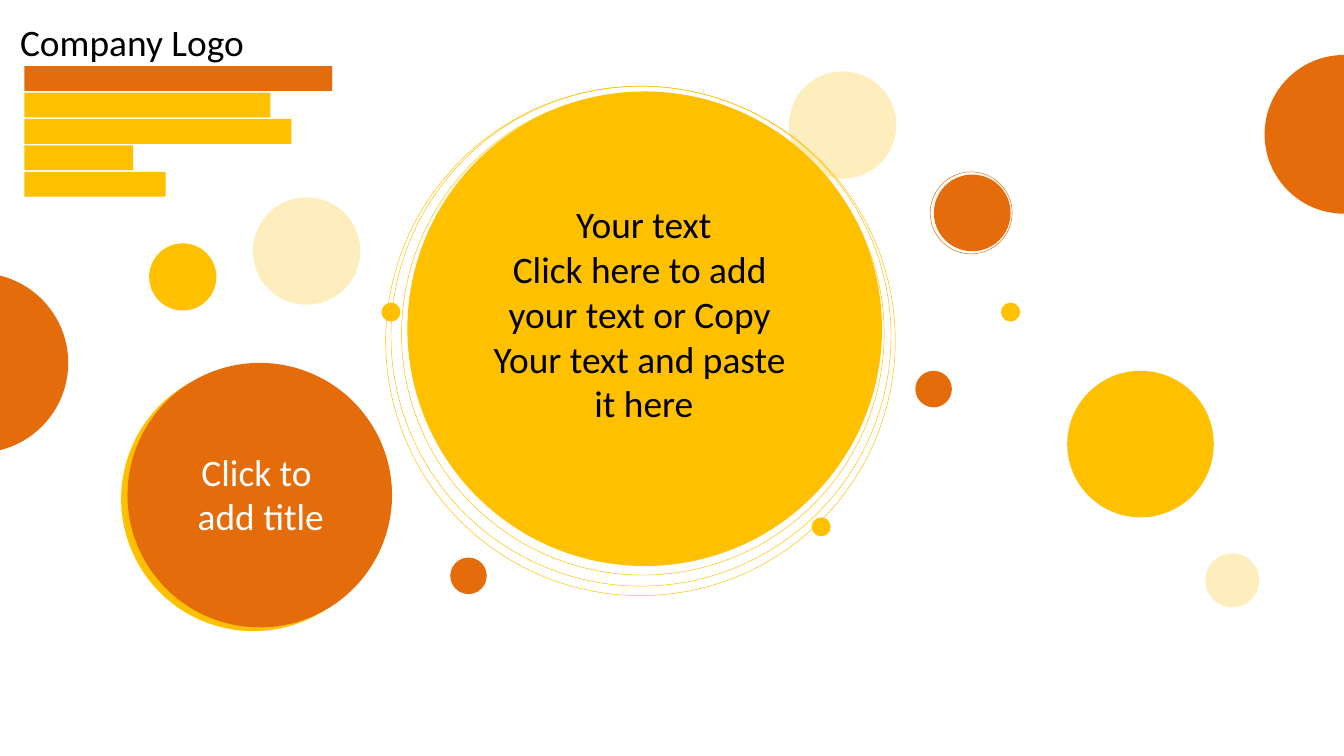
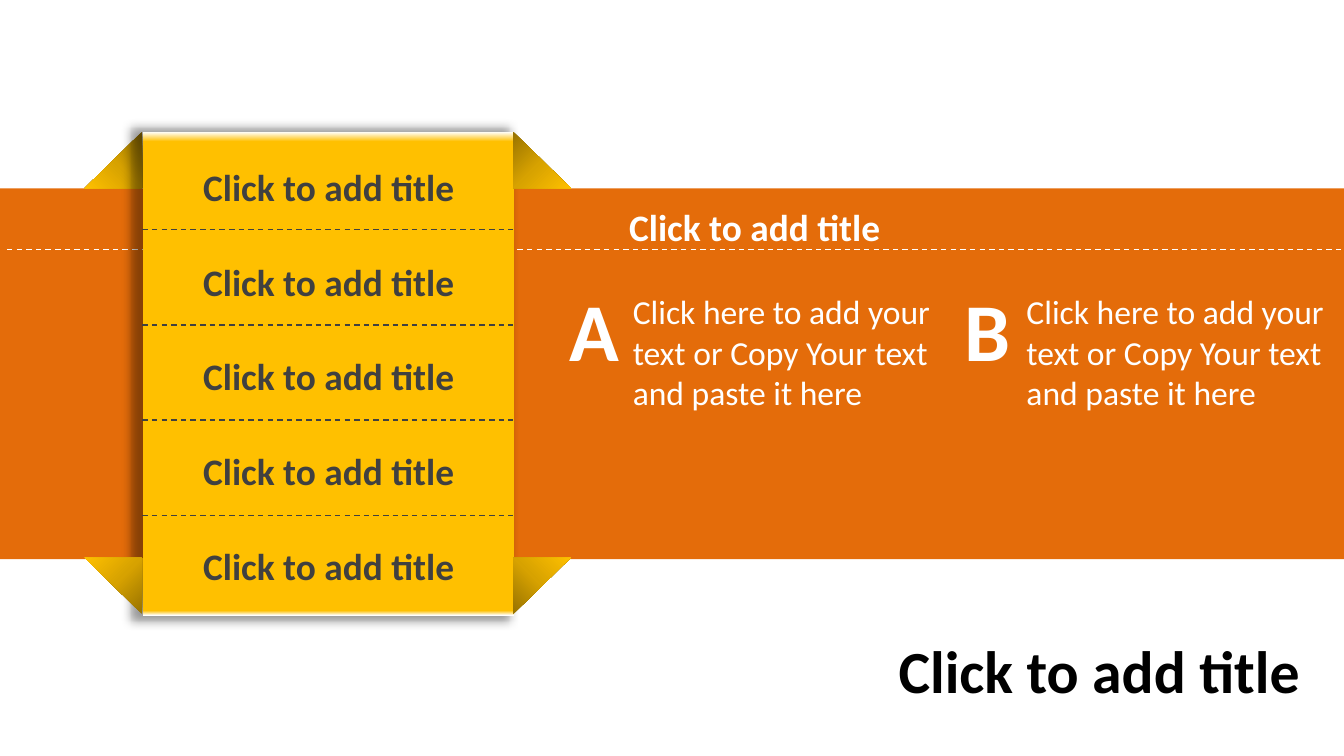
from lxml import etree
from pptx import Presentation
from pptx.dml.color import RGBColor
from pptx.enum.dml import MSO_LINE
from pptx.enum.shapes import MSO_CONNECTOR, MSO_SHAPE
from pptx.enum.text import MSO_AUTO_SIZE, PP_ALIGN
from pptx.oxml.ns import qn
from pptx.util import Cm, Pt

ELLIPSE, RECTANGLE = MSO_SHAPE.OVAL, MSO_SHAPE.RECTANGLE
TRIANGLE = MSO_SHAPE.RIGHT_TRIANGLE
STRAIGHT, DASH = MSO_CONNECTOR.STRAIGHT, MSO_LINE.DASH
LEFT, CENTER = PP_ALIGN.LEFT, PP_ALIGN.CENTER

ORANGE = RGBColor(0xE4, 0x6C, 0x0A)
YELLOW = RGBColor(0xFF, 0xC0, 0x00)
OCHRE = RGBColor(0xD7, 0xA2, 0x00)
BROWN = RGBColor(0x97, 0x72, 0x00)
GRAY = RGBColor(0x40, 0x40, 0x40)
BLACK = RGBColor(0x00, 0x00, 0x00)
WHITE = RGBColor(0xFF, 0xFF, 0xFF)

FONT = "Calibri"
SLIDE_WIDTH, SLIDE_HEIGHT = 25.4, 14.29
TITLE = "Click to add title"


class Deck:
    """Holds the shared style and the slide being built."""

    def __init__(self):
        self.presentation = Presentation()
        self.presentation.slide_width = Cm(SLIDE_WIDTH)
        self.presentation.slide_height = Cm(SLIDE_HEIGHT)
        self.slide = None

    def new_slide(self):
        self.slide = self.presentation.slides.add_slide(
            self.presentation.slide_layouts[6])

    def shape(self, kind, left, top, width, height, fill=None):
        shape = self.slide.shapes.add_shape(
            kind, Cm(left), Cm(top), Cm(width), Cm(height))
        shape.shadow.inherit = False
        shape.line.fill.background()
        if fill is None:
            shape.fill.background()
        else:
            shape.fill.solid()
            shape.fill.fore_color.rgb = fill
        return shape

    def circle(self, left, top, size, fill, opacity=100):
        shape = self.shape(ELLIPSE, left, top, size, size, fill)
        if opacity < 100:
            color = shape.element.spPr.find(qn("a:solidFill"))[0]
            etree.SubElement(color, qn("a:alpha"), val=str(opacity * 1000))

    def ring(self, left, top, size, color):
        shape = self.shape(ELLIPSE, left, top, size, size)
        shape.line.color.rgb = color
        shape.line.width = Pt(0.25)

    def gradient(self, shape, stops, angle):
        shape.fill.gradient()
        shape.fill.gradient_angle = (360 - angle) % 360
        stop_list = shape.element.spPr.find(qn("a:gradFill")).find(qn("a:gsLst"))
        for stop in list(stop_list):
            stop_list.remove(stop)
        for position, color in stops:
            stop = etree.SubElement(
                stop_list, qn("a:gs"), pos=str(position * 1000))
            etree.SubElement(stop, qn("a:srgbClr"), val=str(color))

    def glow_shadow(self, shape):
        effects = shape.element.spPr.find(qn("a:effectLst"))
        shadow = etree.SubElement(
            effects, qn("a:outerShdw"), blurRad=str(Pt(5)), sx="102000",
            sy="102000", algn="ctr", rotWithShape="0")
        color = etree.SubElement(shadow, qn("a:srgbClr"), val=str(BLACK))
        etree.SubElement(color, qn("a:alpha"), val="40000")

    def fold(self, left, top, flips):
        shape = self.shape(TRIANGLE, left, top, 1.09, 1.07)
        self.gradient(shape, [(0, BROWN), (50, OCHRE), (100, YELLOW)], 45)
        for flip in flips:
            shape.element.spPr.xfrm.set("flip" + flip, "1")

    def dashed_line(self, left, right, top, color):
        line = self.slide.shapes.add_connector(
            STRAIGHT, Cm(left), Cm(top), Cm(right), Cm(top))
        line.line.color.rgb = color
        line.line.width = Pt(0.75)
        line.line.dash_style = DASH
        etree.SubElement(line.element.spPr, qn("a:effectLst"))

    def text(self, left, top, width, height, text, size=20, color=BLACK,
             bold=False, align=CENTER, wrap=False):
        box = self.slide.shapes.add_textbox(
            Cm(left), Cm(top), Cm(width), Cm(height))
        frame = box.text_frame
        frame.word_wrap = wrap
        frame.auto_size = MSO_AUTO_SIZE.SHAPE_TO_FIT_TEXT
        frame.text = text
        for paragraph in frame.paragraphs:
            paragraph.alignment = align
            for run in paragraph.runs:
                run.font.name = FONT
                run.font.size = Pt(size)
                run.font.bold = bold
                run.font.color.rgb = color


def build_circles(deck):
    deck.new_slide()
    deck.circle(2.29, 6.93, 5, YELLOW)

    # Bars under the logo text
    for index, width in enumerate([5.82, 4.65, 5.05, 2.06, 2.67]):
        deck.shape(RECTANGLE, 0.46, 1.25 + 0.5 * index, width, 0.47,
                   YELLOW if index else ORANGE)
    deck.text(0.13, 0.23, 4.78, 1.12, "Company Logo", align=LEFT)

    # Filled circles
    for left, top, size, color, opacity in [
        (-2.11, 5.16, 3.4, ORANGE, 100),
        (7.7, 1.73, 8.97, YELLOW, 100),
        (2.41, 6.86, 5, ORANGE, 100),
        (2.82, 4.6, 1.27, YELLOW, 100),
        (4.78, 3.73, 2.03, YELLOW, 26),
        (14.91, 1.35, 2.03, YELLOW, 26),
        (22.78, 10.46, 1.02, YELLOW, 26),
        (20.17, 7.01, 2.77, YELLOW, 100),
        (17.3, 7.01, 0.69, ORANGE, 100),
        (17.65, 3.3, 1.45, ORANGE, 100),
        (23.9, 1.04, 3, ORANGE, 100),
        (8.51, 10.54, 0.69, ORANGE, 100),
        (15.34, 9.78, 0.36, YELLOW, 100),
    ]:
        deck.circle(left, top, size, color, opacity)

    # Thin rings and the dots on top of them
    for left, top, size in [(7.59, 1.75, 9.12), (7.29, 1.63, 9.63),
                            (7.39, 1.63, 9.45)]:
        deck.ring(left, top, size, YELLOW)
    for left in (7.21, 18.92):
        deck.circle(left, 5.72, 0.36, YELLOW)
    deck.ring(17.58, 3.25, 1.55, ORANGE)

    # Texts in the circles
    deck.text(8.92, 3.68, 6.5, 6.25,
              "Your text\nClick here to add \nyour text or Copy \n"
              "Your text and paste \nit here", wrap=True)
    deck.text(3.05, 8.36, 3.76, 1.96, "Click to \nadd title",
              color=WHITE, wrap=True)


def build_ribbon(deck):
    deck.new_slide()
    ribbon_left, ribbon_right = 2.69, 9.7
    fold_left, fold_top, fold_bottom = 1.6, 2.49, 10.54

    # Band across the slide
    deck.shape(RECTANGLE, 0, 3.56, SLIDE_WIDTH, 7.01, ORANGE)
    deck.dashed_line(0.13, SLIDE_WIDTH, 4.72, WHITE)

    # Ribbon with its folds
    deck.fold(fold_left, fold_top, "H")
    ribbon = deck.shape(RECTANGLE, 1.63, 3.56, 9.14, 7.01)
    ribbon.rotation = 90
    deck.gradient(ribbon, [(0, WHITE), (2, YELLOW), (99, YELLOW),
                           (100, WHITE)], 0)
    deck.glow_shadow(ribbon)
    deck.text(16.69, 11.86, 8.18, 1.63, TITLE, size=32, bold=True)
    for index in range(4):
        deck.dashed_line(ribbon_left, ribbon_right, 4.34 + 1.8 * index, GRAY)
    deck.fold(fold_left, fold_bottom, "HV")
    deck.fold(ribbon_right, fold_top, "")
    deck.fold(ribbon_right, fold_bottom, "V")

    # Ribbon labels
    for index in range(5):
        deck.text(3.56, 2.98 + 1.79 * index, 5.31, 1.12, TITLE,
                  color=GRAY, bold=True)

    # Band heading and columns
    deck.text(11.61, 3.73, 5.31, 1.12, TITLE, color=WHITE, bold=True)
    for index, letter in enumerate("AB"):
        shift = 7.44 * index
        deck.text(11.71 + shift, 5.38, 6.35, 2.57,
                  "Click here to add your\ntext or Copy Your text\n"
                  "and paste it here", size=18, color=WHITE, align=LEFT)
        deck.text(10.49 + shift, 5.16, 1.47, 2.13, letter,
                  size=44, color=WHITE, bold=True)


def main():
    deck = Deck()
    build_circles(deck)
    build_ribbon(deck)
    deck.presentation.save("out.pptx")


if __name__ == "__main__":
    main()
